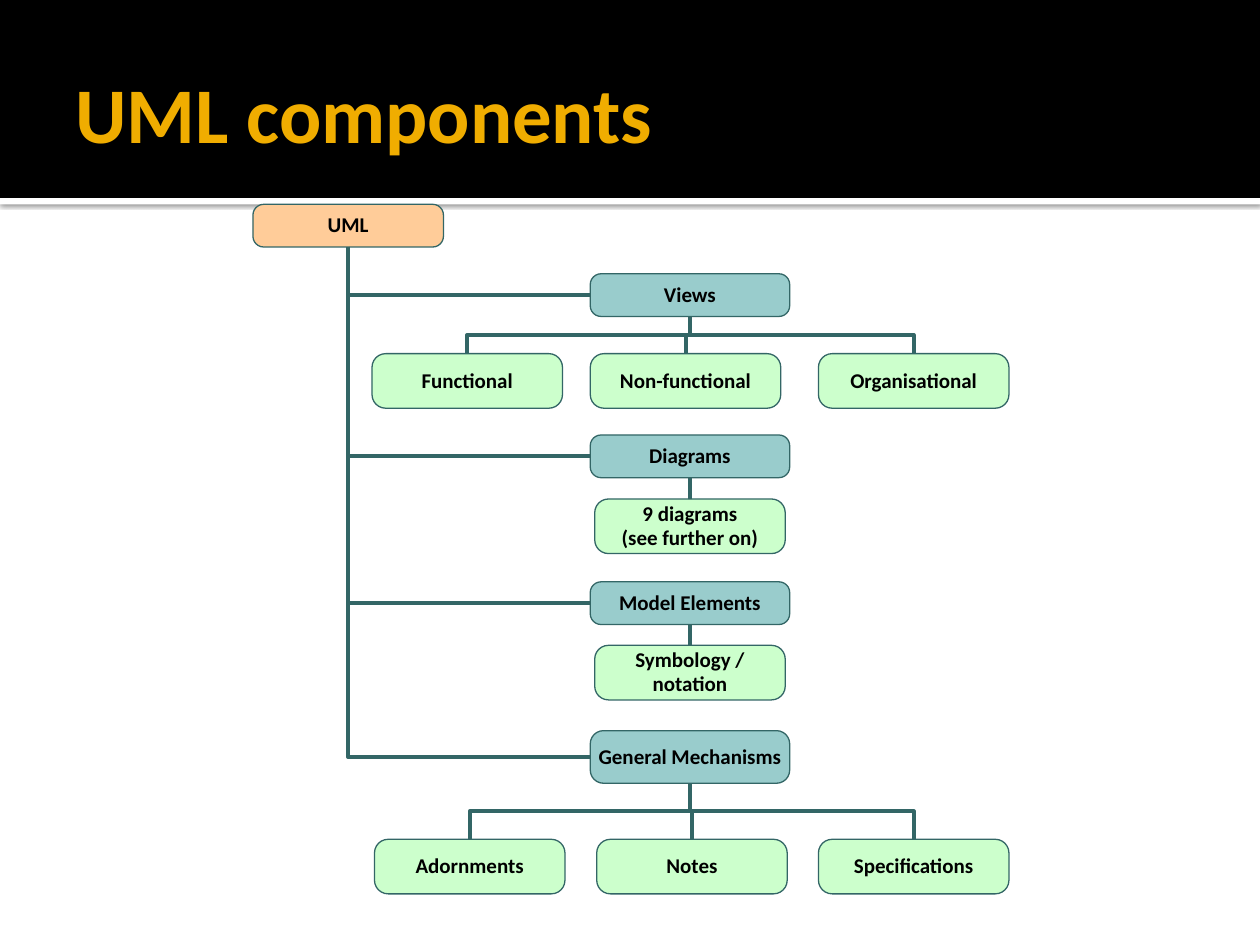
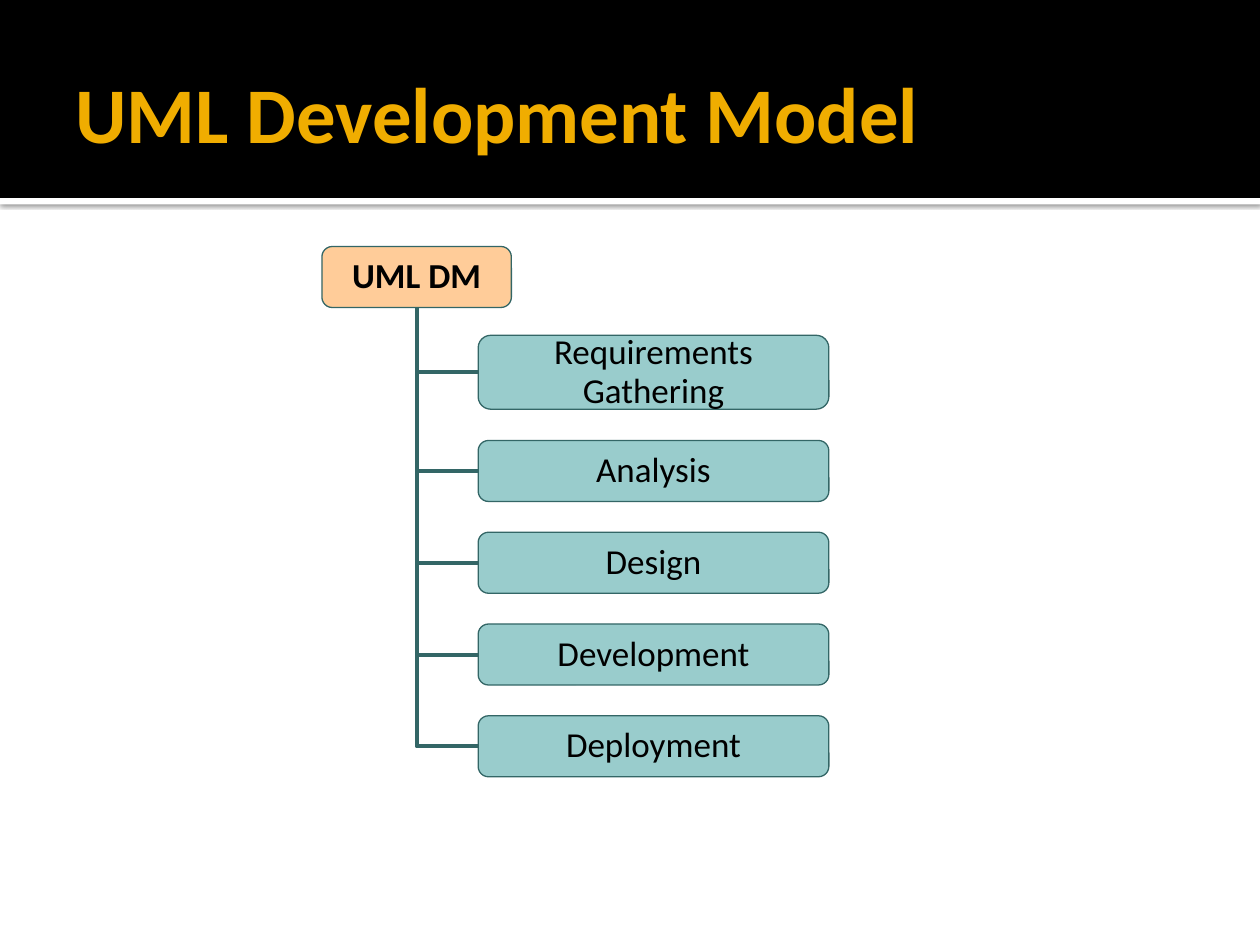
from dataclasses import dataclass
from typing import Sequence

from lxml import etree
from pptx import Presentation, util as u
from pptx.dml.color import RGBColor
from pptx.enum import shapes, text
from pptx.oxml.ns import qn

BLACK = RGBColor(0x00, 0x00, 0x00)
WHITE = RGBColor(0xFF, 0xFF, 0xFF)
GOLD = RGBColor(0xF0, 0xAD, 0x00)
TEAL = RGBColor(0x33, 0x66, 0x66)
PEACH = RGBColor(0xFF, 0xCC, 0x99)
AQUA = RGBColor(0x99, 0xCC, 0xCC)
MINT = RGBColor(0xCC, 0xFF, 0xCC)

FONT = "Calibri"
SLIDE_WIDTH, SLIDE_HEIGHT = 25.4, 19.05
BAND_HEIGHT = 3.99
TOP, LEFT, BOTTOM = 0, 1, 2  # connection sites of a rectangle


@dataclass(frozen=True)
class Node:
    """A labelled box; lengths in centimetres."""
    label: str
    left: float
    top: float
    width: float
    height: float
    fill: RGBColor


@dataclass(frozen=True)
class NodeStyle:
    size: float
    rounding: float
    spacing: float


@dataclass(frozen=True)
class Branch:
    """A second-level node with the leaves below it."""
    head: Node
    leaves: Sequence[Node]


COMPONENT_STYLE = NodeStyle(size=12, rounding=0.25, spacing=0.95)
MODEL_STYLE = NodeStyle(size=20, rounding=0.17, spacing=0.93)


def write_text(frame, content: str, *, size: float, color: RGBColor, bold: bool,
               spacing: float, align=text.PP_ALIGN.LEFT) -> None:
    """Write one paragraph for each line of the content."""
    frame.word_wrap = True
    frame.vertical_anchor = text.MSO_ANCHOR.MIDDLE
    for index, line in enumerate(content.split("\n")):
        para = frame.paragraphs[0] if index == 0 else frame.add_paragraph()
        para.alignment = align
        para.line_spacing = spacing
        span = para.add_run()
        span.text = line
        span.font.name = FONT
        span.font.size = u.Pt(size)
        span.font.bold = bold
        span.font.color.rgb = color


def add_band(page, top: float, height: float, color: RGBColor):
    band = page.shapes.add_shape(shapes.MSO_SHAPE.RECTANGLE, 0, u.Cm(top),
                                 u.Cm(SLIDE_WIDTH), u.Cm(height))
    band.shadow.inherit = False
    band.fill.solid()
    band.fill.fore_color.rgb = color
    band.line.fill.background()
    return band


def add_soft_shadow(shape) -> None:
    """Cast a blurred black shadow straight down."""
    effects = shape._element.spPr.find(qn("a:effectLst"))
    shadow = etree.SubElement(effects, qn("a:outerShdw"), blurRad=str(u.Pt(2.5)),
                              dist=str(u.Pt(0.8)), dir="5400000", rotWithShape="0")
    color = etree.SubElement(shadow, qn("a:srgbClr"), val=str(BLACK))
    etree.SubElement(color, qn("a:alpha"), val="60000")


def add_page(deck, title: str):
    """Add a slide with the shared header bands and title."""
    page = deck.slides.add_slide(deck.slide_layouts[6])
    add_soft_shadow(add_band(page, BAND_HEIGHT, 0.13, WHITE))
    add_band(page, 0, BAND_HEIGHT, BLACK)
    box = page.shapes.add_textbox(u.Cm(1.27), u.Cm(1.02), u.Cm(22.86), u.Cm(2.67))
    write_text(box.text_frame, title, size=45, color=GOLD, bold=True, spacing=0.93)
    return page


def add_node(page, node: Node, style: NodeStyle, *, bold: bool = True):
    box = page.shapes.add_shape(
        shapes.MSO_SHAPE.ROUNDED_RECTANGLE, u.Cm(node.left), u.Cm(node.top),
        u.Cm(node.width), u.Cm(node.height))
    box.adjustments[0] = style.rounding
    box.shadow.inherit = False
    box.fill.solid()
    box.fill.fore_color.rgb = node.fill
    box.line.color.rgb = TEAL
    box.line.width = u.Pt(0.75)
    frame = box.text_frame
    frame.margin_left = frame.margin_right = u.Cm(0.05)
    frame.margin_top = frame.margin_bottom = 0
    write_text(frame, node.label, size=style.size, color=BLACK, bold=bold,
               spacing=style.spacing, align=text.PP_ALIGN.CENTER)
    return box


def join(page, parent, child, *, site: int = TOP, straight: bool = False):
    """Link the parent's bottom to the child's top or left side."""
    start_x, start_y = parent.left + parent.width // 2, parent.top + parent.height
    if site == LEFT:
        end_x, end_y = child.left, child.top + child.height // 2
    else:
        end_x, end_y = child.left + child.width // 2, child.top
    kind = shapes.MSO_CONNECTOR.STRAIGHT if straight else shapes.MSO_CONNECTOR.ELBOW
    link = page.shapes.add_connector(kind, start_x, start_y, end_x, end_y)
    link.begin_connect(parent, BOTTOM)
    link.end_connect(child, site)
    link.line.color.rgb = TEAL
    link.line.width = u.Pt(2.25)
    properties = link._element.spPr
    etree.SubElement(properties, qn("a:effectLst"))
    if straight:
        return

    # Turn the elbow so that it leaves the parent downwards
    drop, shift = end_y - start_y, abs(end_x - start_x)
    link.width, link.height = drop, shift
    link.left = (start_x + end_x - drop) // 2
    link.top = (start_y + end_y - shift) // 2
    goes_left = end_x < start_x
    properties.xfrm.rot = 90 if goes_left else 270
    properties.xfrm.flipH = not goes_left
    properties.xfrm.flipV = False
    if site == LEFT:
        properties.find(qn("a:prstGeom")).set("prst", "bentConnector2")


def head(label: str, top: float, height: float = 0.86) -> Node:
    return Node(label, 11.9, top, 4.02, height, AQUA)


def leaf(label: str, left: float, top: float) -> Node:
    return Node(label, left, top, 3.84, 1.1, MINT)


def build_components(deck) -> None:
    page = add_page(deck, "UML components")
    root = add_node(page, Node("UML", 5.1, 4.12, 3.84, 0.86, PEACH), COMPONENT_STYLE)
    branches = [
        Branch(head("Views", 5.52), [
            leaf("Functional", 7.5, 7.13),
            leaf("Non-functional", 11.9, 7.13),
            leaf("Organisational", 16.5, 7.13)]),
        Branch(head("Diagrams", 8.77), [
            leaf("9 diagrams\n(see further on)", 11.99, 10.06)]),
        Branch(head("Model Elements", 11.73), [
            leaf("Symbology / notation", 11.99, 13.01)]),
        Branch(head("General Mechanisms", 14.73, 1.06), [
            leaf("Adornments", 7.55, 16.92),
            leaf("Notes", 12.03, 16.92),
            leaf("Specifications", 16.5, 16.92)]),
    ]
    for branch in branches:
        parent = add_node(page, branch.head, COMPONENT_STYLE)
        join(page, root, parent, site=LEFT)
        for item in branch.leaves:
            child = add_node(page, item, COMPONENT_STYLE)
            join(page, parent, child, straight=len(branch.leaves) == 1)


def build_development_model(deck) -> None:
    page = add_page(deck, "UML Development Model")
    root = add_node(page, Node("UML DM", 6.49, 4.97, 3.82, 1.23, PEACH), MODEL_STYLE)
    # The first phase is taller; the others follow at an equal pitch
    phases = [Node("Requirements Gathering", 9.64, 6.76, 7.07, 1.49, AQUA)]
    phases += [Node(label, 9.64, 8.88 + 1.85 * row, 7.07, 1.23, AQUA)
               for row, label in enumerate(
                   ["Analysis", "Design", "Development", "Deployment"])]
    for phase in phases:
        box = add_node(page, phase, MODEL_STYLE, bold=False)
        join(page, root, box, site=LEFT)


def main() -> None:
    deck = Presentation()
    deck.slide_width, deck.slide_height = u.Cm(SLIDE_WIDTH), u.Cm(SLIDE_HEIGHT)
    build_components(deck)
    build_development_model(deck)
    deck.save("out.pptx")


if __name__ == "__main__":
    main()
